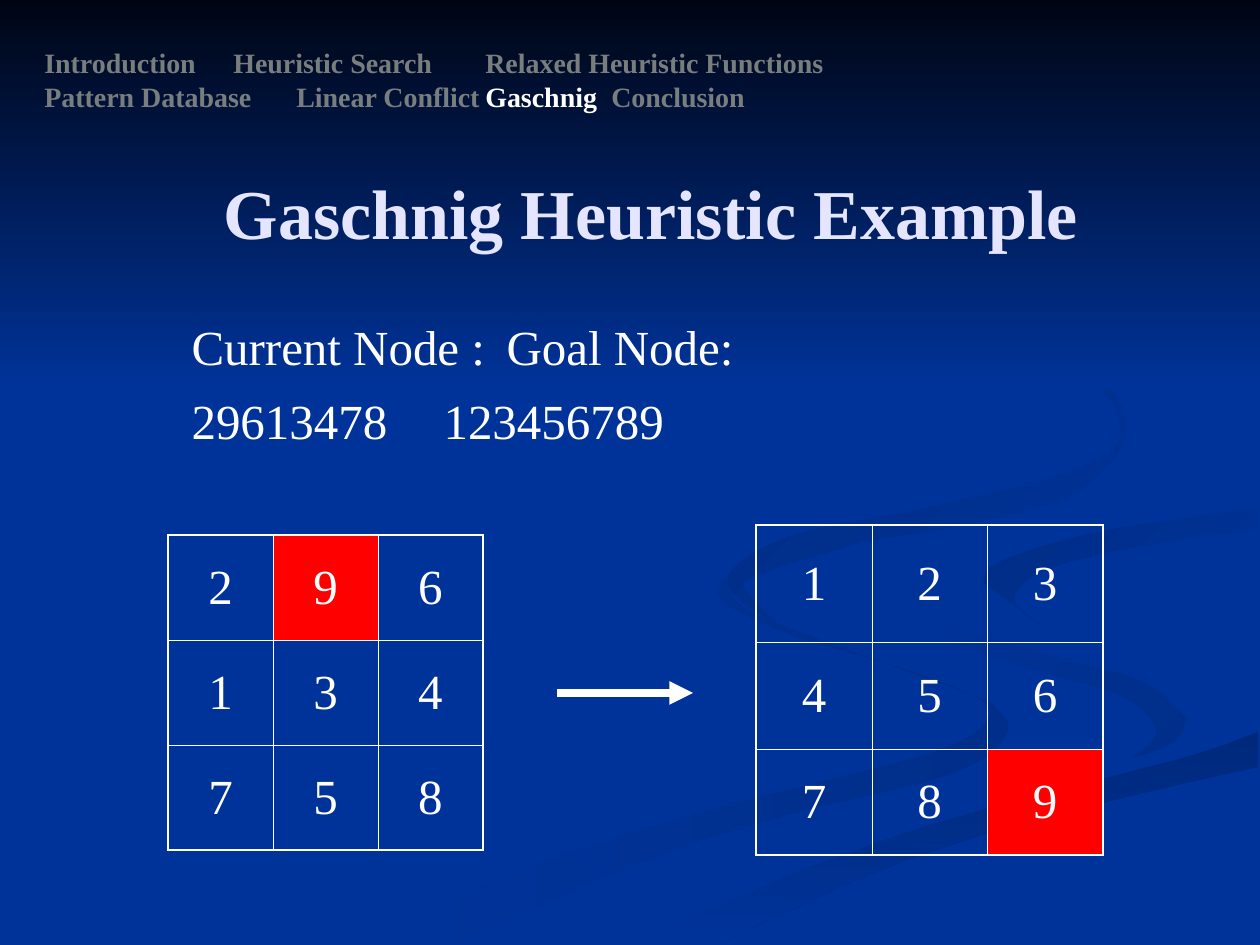
from lxml.etree import SubElement
from pptx import Presentation
from pptx.dml.color import RGBColor
from pptx.enum.shapes import MSO_CONNECTOR
from pptx.enum.text import MSO_ANCHOR, MSO_AUTO_SIZE, PP_ALIGN
from pptx.oxml import parse_xml
from pptx.oxml.ns import nsdecls, qn
from pptx.util import Pt

PX = 914400 // 126
FONT = "Times New Roman"
WHITE, GREY, LILAC, RED, BLUE = "FFFFFF", "787E7E", "E5E5FF", "FF0000", "003399"

TITLE = "Gaschnig Heuristic Example"
# One list per line of the menu; the current section stands out.
MENU = [
    ["Introduction", "Heuristic Search", "Relaxed Heuristic Functions"],
    ["Pattern Database", "Linear Conflict", "Gaschnig", "Conclusion"],
]
CURRENT = "Gaschnig"
MENU_TABS = [378, 756, 1008]
# (texts, tab stops)
NODES = [
    (["Current Node :", "Goal Node:"], [60, 660]),
    (["29613478", "123456789"], [73, 660]),
]
BOARDS = {
    "current": dict(left=168, top=535, cols=[105] * 3, rows=[105] * 3,
                    tiles=["296", "134", "758"]),
    "goal": dict(left=756, top=525, cols=[116, 115, 116], rows=[117, 107, 106],
                 tiles=["123", "456", "789"]),
}
MOVED = "9"

# Edges that neighbouring ribbons share
INNER = [(914, 585), (956, 627), (1047, 654), (1140, 680), (1188, 718)]
LOWER = [(634, 944), (794, 873), (964, 815), (1179, 759), (1258, 732)]
UPPER = [(1258, 507), (1090, 534), (998, 563), (984, 583)]
# Ribbons, back to front: (colours, clockwise angle, smooth edges in turn)
RIBBONS = [
    (["002E8A", BLUE], 180, [
        [(990, 701), (1008, 732), (953, 774), (785, 815), (629, 866), (455, 944)],
        [(378, 944), (525, 869), (730, 805), (931, 753), (990, 713), (934, 679),
         (795, 636), (721, 600), (724, 578)],
        [(724, 578), (748, 611), (859, 654), (990, 701)]]),
    (["002E8A", BLUE], 225, [
        INNER,
        [(1188, 718), (1174, 742), (1126, 762)],
        [(1126, 762), (1157, 732), (1124, 697), (1056, 675), (965, 645), (914, 597)]]),
    (["00297C", BLUE], 90, [
        LOWER, [(1258, 767), (1034, 820), (876, 872), (719, 944)]]),
    ([BLUE], 0, [
        INNER,
        [(1188, 718), (1167, 747), (983, 799), (780, 862), (601, 944)],
        LOWER,
        [(1258, 678), (1091, 641), (990, 596), (984, 583)],
        UPPER[::-1],
        [(1258, 488), (1072, 518), (951, 544), (914, 585)]]),
    ([BLUE, "002C85"], 225, [
        UPPER,
        [(984, 583), (1041, 625)],
        [(1041, 625), (1014, 600), (1043, 571), (1129, 548), (1258, 529)]]),
    ([BLUE, "002B81"], 225, [
        [(960, 294), (1089, 367), (1126, 433), (1077, 493), (990, 519), (861, 542)],
        [(861, 542), (757, 575), (747, 592), (784, 630)],
        [(784, 630), (727, 582), (788, 537), (924, 509), (1085, 466), (1120, 422),
         (1066, 352), (960, 294)]]),
    (["000514", BLUE], 90, [[(0, 0), (0, 388)], [(1260, 388), (1260, 0)]]),
]


def rgb(color):
    return RGBColor.from_string(color)


def add_run(p, text, size=28, color=WHITE, bold=False):
    r = p.add_run()
    r.text = text
    r.font.name, r.font.size, r.font.bold = FONT, Pt(size), bold
    r.font.color.rgb = rgb(color)


def set_tabs(p, stops):
    """Drop bullet and indent, then add left tab stops."""
    pPr = p._p.get_or_add_pPr()
    pPr.set("marL", "0")
    pPr.set("indent", "0")
    SubElement(pPr, qn("a:buNone"))
    tabs = SubElement(pPr, qn("a:tabLst"))
    for x in stops:
        SubElement(tabs, qn("a:tab"), pos=str(x * PX), algn="l")


def place(sp, left, top, width, height, anchor):
    sp.left, sp.top, sp.width, sp.height = (v * PX for v in (left, top, width, height))
    tf = sp.text_frame
    tf.word_wrap, tf.auto_size, tf.vertical_anchor = True, MSO_AUTO_SIZE.NONE, anchor
    return tf


def paragraphs(tf, count):
    return [tf.paragraphs[0]] + [tf.add_paragraph() for _ in range(count - 1)]


def smooth(edge, steps=5):
    """Points of a Catmull-Rom curve through the points of an edge."""
    padded = [edge[0], *edge, edge[-1]]
    points = [edge[0]]
    for quad in zip(padded, padded[1:], padded[2:], padded[3:]):
        for k in range(1, steps + 1):
            t = k / steps
            points.append(tuple(
                b + t * (c - a + t * (2 * a - 5 * b + 4 * c - d
                                      + t * (3 * b - a - 3 * c + d))) / 2
                for a, b, c, d in zip(*quad)))
    return points


def add_ribbon(s, colors, angle, edges):
    points = [point for edge in edges for point in smooth(edge)]
    fb = s.shapes.build_freeform(*points[0], scale=PX)
    fb.add_line_segments(points[1:])
    sp = fb.convert_to_shape()
    sp.shadow.inherit = False
    sp.line.fill.background()
    if len(colors) == 1:
        sp.fill.solid()
        sp.fill.fore_color.rgb = rgb(colors[0])
        return
    sp.fill.gradient()
    sp.fill.gradient_angle = 360 - angle
    for stop, color in zip(sp.fill.gradient_stops, colors):
        stop.color.rgb = rgb(color)


def set_borders(cell, row, col, last=2):
    """Heavier lines round the board, thin ones inside."""
    outer = {"L": col == 0, "R": col == last, "T": row == 0, "B": row == last}
    for i, (side, heavy) in enumerate(outer.items()):
        width = Pt(1.08 if heavy else 0.45)
        cell._tc.get_or_add_tcPr().insert(i, parse_xml(
            f'<a:ln{side} {nsdecls("a")} w="{width}"><a:solidFill>'
            f'<a:srgbClr val="{WHITE}"/></a:solidFill></a:ln{side}>'))


def add_board(s, left, top, cols, rows, tiles):
    box = (left, top, sum(cols), sum(rows))
    tbl = s.shapes.add_table(len(rows), len(cols), *(v * PX for v in box)).table
    tbl.first_row = tbl.horz_banding = False
    for col, width in zip(tbl.columns, cols):
        col.width = width * PX
    for i, height in enumerate(rows):
        tbl.rows[i].height = height * PX
        for j, tile in enumerate(tiles[i]):
            cell = tbl.cell(i, j)
            cell.vertical_anchor = MSO_ANCHOR.MIDDLE
            if tile == MOVED:
                cell.fill.solid()
                cell.fill.fore_color.rgb = rgb(RED)
            else:
                cell.fill.background()
            set_borders(cell, i, j)
            p = cell.text_frame.paragraphs[0]
            p.alignment = PP_ALIGN.CENTER
            add_run(p, tile)


def add_arrow(s, x1, x2, y):
    line = s.shapes.add_connector(MSO_CONNECTOR.STRAIGHT, x1 * PX, y * PX, x2 * PX, y * PX)
    line.line.color.rgb = rgb(WHITE)
    line.line.width = Pt(4.5)
    SubElement(line.line._get_or_add_ln(), qn("a:tailEnd"), type="triangle")
    SubElement(line._element.spPr, qn("a:effectLst"))


def main():
    prs = Presentation()
    prs.slide_width, prs.slide_height = 1260 * PX, 945 * PX
    s = prs.slides.add_slide(prs.slide_layouts[1])
    s.background.fill.solid()
    s.background.fill.fore_color.rgb = rgb(BLUE)
    title, body = s.placeholders
    for ribbon in RIBBONS:
        add_ribbon(s, *ribbon)
    for sp in (body, title):  # bring in front of the ribbons
        s.shapes._spTree.append(sp._element)

    tf = place(body, 116, 305, 1092, 624, MSO_ANCHOR.TOP)
    tf.margin_top = 11 * PX
    for i, (p, (texts, stops)) in enumerate(zip(paragraphs(tf, len(NODES)), NODES)):
        set_tabs(p, stops)
        p.space_before = Pt(9 if i else 0)
        add_run(p, "".join("\t" + text for text in texts))

    tf = place(title, 84, 168, 1134, 88, MSO_ANCHOR.MIDDLE)
    tf.paragraphs[0].alignment = PP_ALIGN.CENTER
    add_run(tf.paragraphs[0], TITLE, size=40, color=LILAC, bold=True)

    add_board(s, **BOARDS["current"])
    add_arrow(s, 557, 693, 693)
    add_board(s, **BOARDS["goal"])

    tf = place(s.shapes.add_textbox(0, 0, PX, PX), 32, 32, 1197, 94, MSO_ANCHOR.MIDDLE)
    for p, sections in zip(paragraphs(tf, len(MENU)), MENU):
        set_tabs(p, MENU_TABS)
        for i, name in enumerate(sections):
            color = WHITE if name == CURRENT else GREY
            add_run(p, "\t" * (i > 0) + name, size=16, color=color, bold=True)

    prs.save("out.pptx")


if __name__ == "__main__":
    main()
